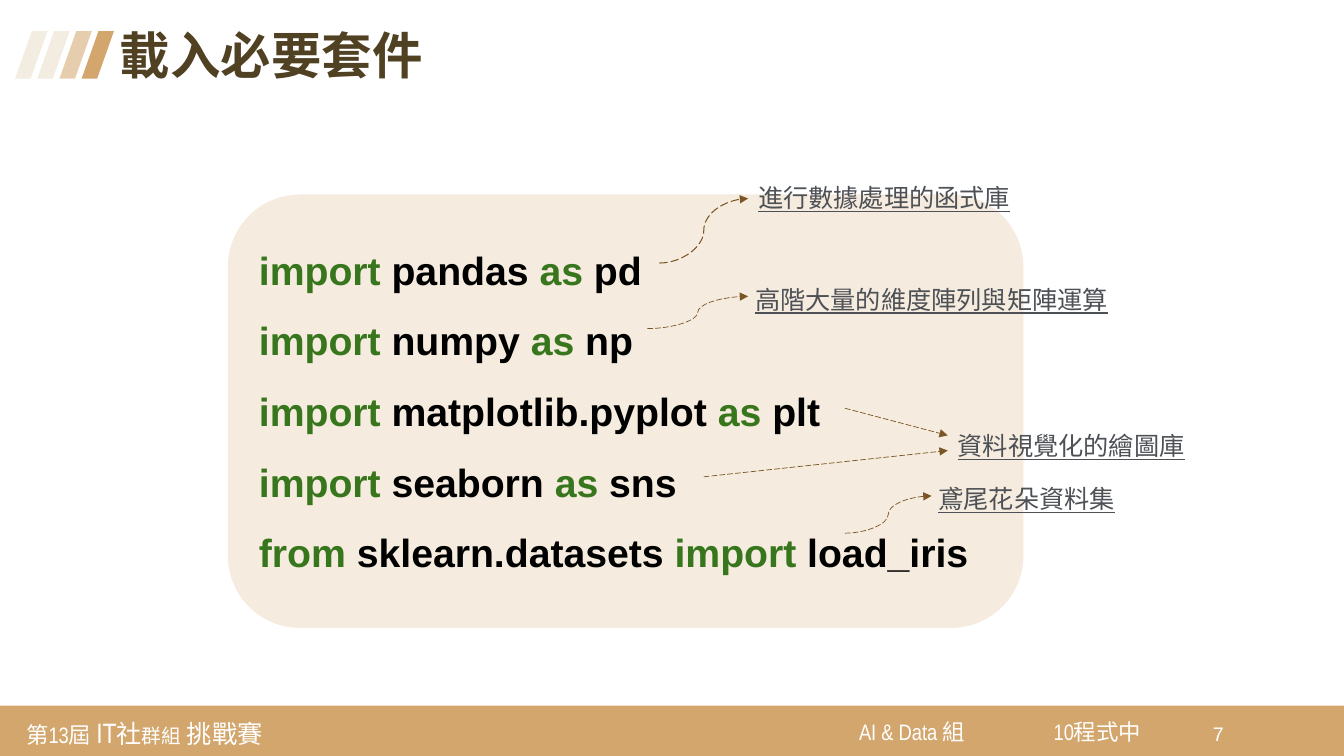
import pptx
from lxml import etree
from pptx.dml.color import RGBColor
from pptx.enum.dml import MSO_LINE
from pptx.enum.shapes import MSO_CONNECTOR, MSO_SHAPE
from pptx.enum.text import MSO_ANCHOR, PP_ALIGN
from pptx.oxml.ns import qn
from pptx.util import Inches, Pt

COLORS = {
    "gold": "D2A66C",
    "light_gold": "E6CDAD",
    "ivory": "F2ECE1",
    "panel": "F5EBDE",
    "title": "514123",
    "keyword": "38761D",
    "code": "000000",
    "label": "4D5156",
    "arrow": "7A5525",
    "white": "FFFFFF",
}
KEYWORDS = ("import", "from", "as")

CODE_LINES = [
    "import pandas as pd",
    "import numpy as np",
    "import matplotlib.pyplot as plt",
    "import seaborn as sns",
    "from sklearn.datasets import load_iris",
]

# text, left, top, width
LABELS = [
    ("進行數據處理的函式庫", 7.42, 1.76, 2.73),
    ("高階大量的維度陣列與矩陣運算", 7.39, 2.77, 3.74),
    ("資料視覺化的繪圖庫", 9.4, 4.22, 2.47),
    ("鳶尾花朵資料集", 9.21, 4.75, 1.97),
]

# kind, start, end, line width
ARROWS = [
    (MSO_CONNECTOR.CURVE, (6.54, 2.61), (7.42, 1.97), 0.75),
    (MSO_CONNECTOR.CURVE, (6.42, 3.26), (7.42, 2.94), 0.5),
    (MSO_CONNECTOR.STRAIGHT, (8.38, 4.05), (9.4, 4.32), 0.5),
    (MSO_CONNECTOR.STRAIGHT, (6.98, 4.73), (9.4, 4.47), 0.5),
    (MSO_CONNECTOR.CURVE, (8.38, 5.29), (9.24, 4.92), 0.5),
]

# runs of (text, size), left, top, width, height, inset, font
FOOTERS = [
    ([("第13屆 ", 16), ("IT", 20), ("社", 18), ("群組", 14), (" 挑戰賽", 18)],
     0.18, 7.02, 2.83, 0.49, 0.08, "Arial Narrow"),
    ([("AI & Data 組", 16)], 8.44, 7.04, 1.33, 0.43, 0.08, "Arial Narrow"),
    ([("10程式中", 16)], 10.37, 7.04, 1.33, 0.43, 0.08, "Arial Narrow"),
    ([("7", 14)], 11.93, 7.07, 0.42, 0.41, 0.1, "Arial"),
]


def color(name):
    return RGBColor.from_string(COLORS[name])


def set_font(font, size, color_name, name="Arial"):
    font.name = name
    font.size = Pt(size)
    font.color.rgb = color(color_name)


def add_block(slide, kind, left, top, width, height, fill):
    shape = slide.shapes.add_shape(
        kind, Inches(left), Inches(top), Inches(width), Inches(height))
    shape.shadow.inherit = False
    shape.fill.solid()
    shape.fill.fore_color.rgb = color(fill)
    shape.line.fill.background()
    return shape


def add_title(slide, text):
    title = slide.shapes.title
    title.left, title.top = Inches(1.09), Inches(0.25)
    title.width, title.height = Inches(10.19), Inches(0.65)
    title.text_frame.text = text
    title.text_frame.vertical_anchor = MSO_ANCHOR.MIDDLE
    paragraph = title.text_frame.paragraphs[0]
    paragraph.alignment = PP_ALIGN.LEFT
    paragraph.line_spacing = 0.9
    set_font(paragraph.font, 36, "title")
    paragraph.font.bold = True


def add_footer(slide, runs, left, top, width, height, inset, font_name):
    box = slide.shapes.add_textbox(
        Inches(left), Inches(top), Inches(width), Inches(height))
    frame = box.text_frame
    frame.word_wrap = True
    frame.vertical_anchor = MSO_ANCHOR.MIDDLE
    frame.margin_left = frame.margin_right = Inches(inset)
    frame.margin_top = frame.margin_bottom = Inches(0.08)
    paragraph = frame.paragraphs[0]
    set_font(paragraph.font, runs[0][1], "white", font_name)
    for text, size in runs:
        run = paragraph.add_run()
        run.text = text
        run.font.size = Pt(size)


def add_code_panel(slide):
    panel = add_block(slide, MSO_SHAPE.ROUNDED_RECTANGLE,
                      2.26, 1.93, 7.89, 4.3, "panel")
    frame = panel.text_frame
    frame.word_wrap = True
    frame.vertical_anchor = MSO_ANCHOR.MIDDLE
    frame.margin_top, frame.margin_bottom = 0, Inches(0.24)
    for index, line in enumerate(CODE_LINES):
        paragraph = frame.add_paragraph() if index else frame.paragraphs[0]
        paragraph.alignment = PP_ALIGN.LEFT
        paragraph.line_spacing = 1.5
        set_font(paragraph.font, 28, "code")
        paragraph.font.bold = True
        words = line.split()
        for position, word in enumerate(words):
            run = paragraph.add_run()
            run.text = word if position == len(words) - 1 else word + " "
            run.font.color.rgb = color("keyword" if word in KEYWORDS else "code")


def add_label(slide, text, left, top, width):
    box = slide.shapes.add_textbox(
        Inches(left), Inches(top), Inches(width), Inches(0.4))
    box.text_frame.word_wrap = False
    box.text_frame.text = text
    paragraph = box.text_frame.paragraphs[0]
    set_font(paragraph.font, 18, "label")
    paragraph.font.underline = True


def add_arrow(slide, kind, start, end, width):
    arrow = slide.shapes.add_connector(
        kind, *(Inches(value) for value in start + end))
    arrow.line.color.rgb = color("arrow")
    arrow.line.width = Pt(width)
    arrow.line.dash_style = MSO_LINE.LONG_DASH
    properties = arrow.line._get_or_add_ln()
    etree.SubElement(properties, qn("a:tailEnd"), type="triangle")
    etree.SubElement(arrow._element.spPr, qn("a:effectLst"))


def main():
    presentation = pptx.Presentation()
    presentation.slide_width = Inches(13.33)
    presentation.slide_height = Inches(7.5)
    slide = presentation.slides.add_slide(presentation.slide_layouts[5])

    # Footer band
    add_block(slide, MSO_SHAPE.RECTANGLE, 0, 7, 13.33, 0.5, "gold")
    for footer in FOOTERS:
        add_footer(slide, *footer)

    # Heading with slanted bars
    for index, fill in enumerate(("ivory", "ivory", "light_gold", "gold")):
        bar = add_block(slide, MSO_SHAPE.PARALLELOGRAM,
                        0.15 + 0.22 * index, 0.31, 0.32, 0.47, fill)
        bar.adjustments[0] = 0.52
    add_title(slide, "載入必要套件")

    # Code with its explanations
    add_code_panel(slide)
    for label in LABELS:
        add_label(slide, *label)
    for arrow in ARROWS:
        add_arrow(slide, *arrow)

    presentation.save("out.pptx")


if __name__ == "__main__":
    main()
